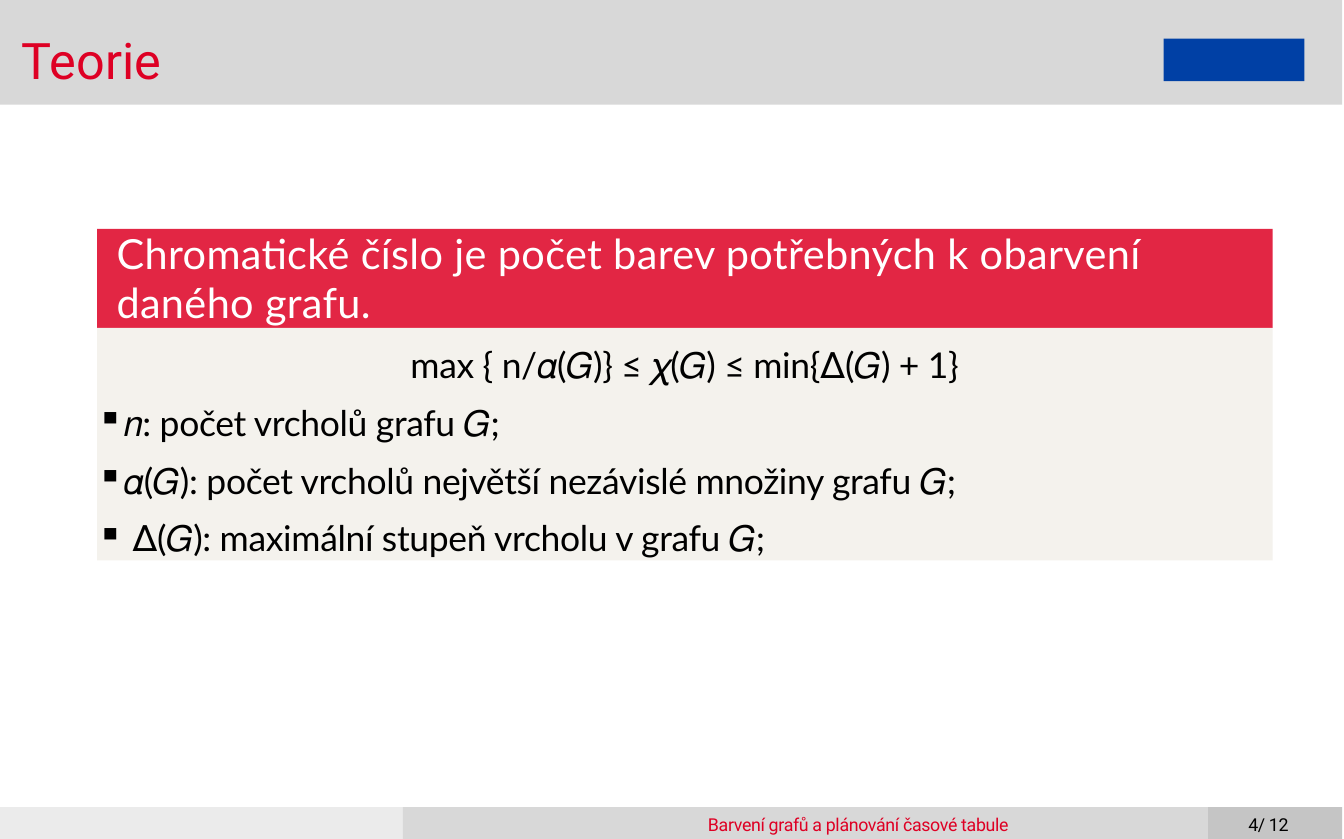
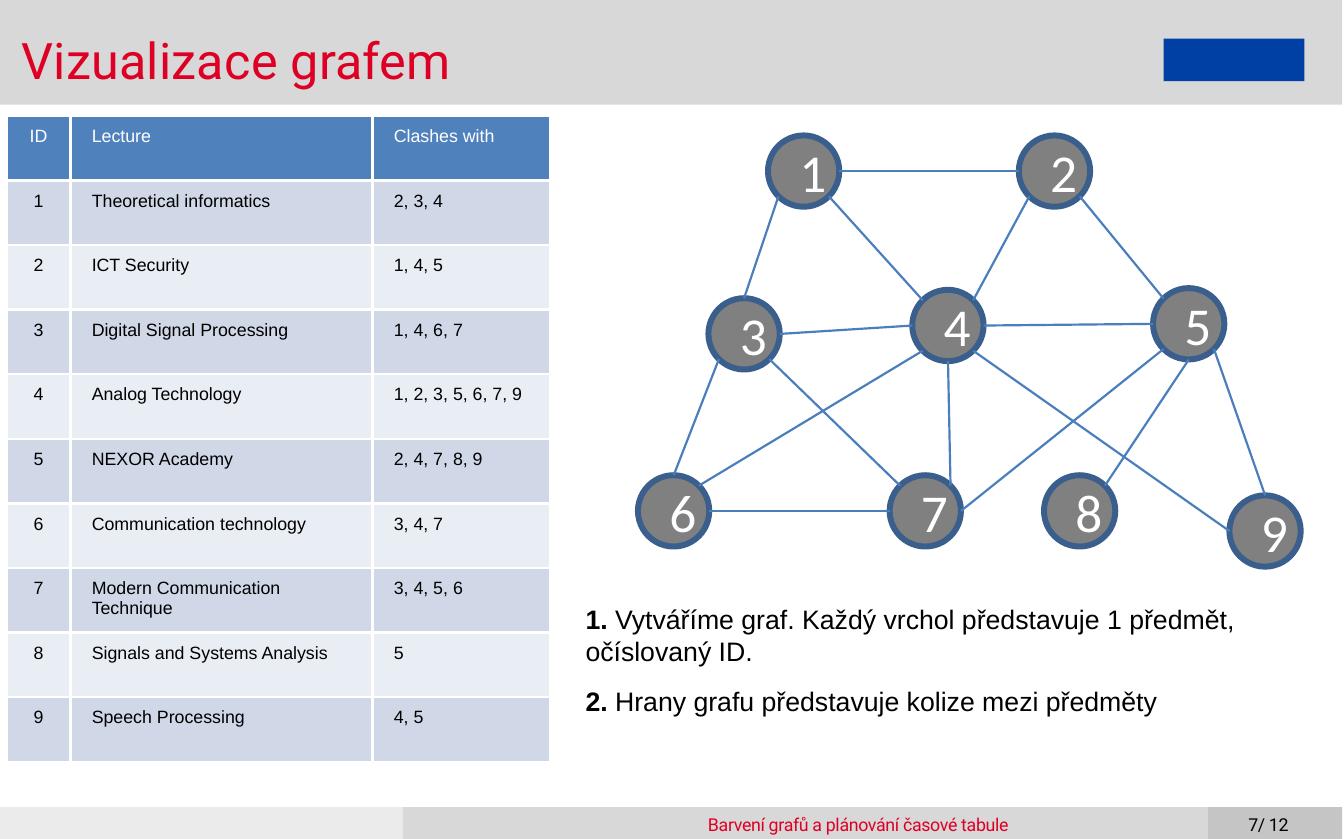
from collections import namedtuple
from math import cos, radians, sin

from lxml.etree import SubElement
from pptx import Presentation
from pptx.dml.color import RGBColor
from pptx.enum.shapes import MSO_CONNECTOR, MSO_SHAPE
from pptx.enum.text import MSO_ANCHOR, PP_ALIGN
from pptx.oxml import parse_xml
from pptx.oxml.ns import nsdecls, qn
from pptx.util import Cm, Pt

Box = namedtuple("Box", "left top width height")

COLOURS = {
    "red": "DE0024", "block_red": "E22644", "block_body": "F4F2ED",
    "logo": "0040A5", "band": "D8D8D8", "band_light": "EBEBEB",
    "band_dark": "C5C5C5", "black": "000000", "white": "FFFFFF",
    "node": "808080", "node_line": "3A5F8C", "edge": "4B7EBC",
    "table_head": "4F81BD", "row_odd": "D0D8E8", "row_even": "E9EDF4",
}

# font, size in points, colour, character spacing in hundredths of a point
STYLES = {
    "title": ("Roboto", 17, "red", 5),
    "footer": ("Roboto", 6, "red", -10),
    "page": ("Roboto", 6, "black", -10),
    "block_head": ("Lato", 14, "white", 10),
    "block_body": ("Lato", 12, "black", -10),
    "node": ("Calibri", 18, "white", 0),
    "table_head": ("Arial", 6, "white", 0),
    "table_body": ("Arial", 6, "black", 0),
    "note": ("Arial", 9, "black", 0),
}

HEADER = Box(0, 0, 16, 1.25)
FOOTER = Box(0, 9.62, 16, 0.38)
FOOTER_PARTS = [("band_light", 0.3), ("band", 0.6), ("band_dark", 0.1)]
FOOTER_TEXT = "Barvení grafů a plánování časové tabule"
PAGE_COUNT = 12

DEFINITION = "Chromatické číslo je počet barev potřebných k obarvení daného grafu."
FORMULA = "max { n/𝛼(𝐺)} ≤ 𝜒(𝐺) ≤ min{∆(𝐺) + 1}"
SYMBOLS = [
    "𝑛: počet vrcholů grafu 𝐺;",
    "𝛼(𝐺): počet vrcholů největší nezávislé množiny grafu 𝐺;",
    " ∆(𝐺): maximální stupeň vrcholu v grafu 𝐺;",
]

LECTURES = [
    ("ID", "Lecture", "Clashes with"),
    ("1", "Theoretical informatics", "2, 3, 4"),
    ("2", "ICT Security", "1, 4, 5"),
    ("3", "Digital Signal Processing", "1, 4, 6, 7"),
    ("4", "Analog Technology", "1, 2, 3, 5, 6, 7, 9"),
    ("5", "NEXOR Academy", "2, 4, 7, 8, 9"),
    ("6", "Communication technology", "3, 4, 7"),
    ("7", "Modern Communication Technique", "3, 4, 5, 6"),
    ("8", "Signals and Systems Analysis", "5"),
    ("9", "Speech Processing", "4, 5"),
]
COLUMN_WIDTHS = [0.76, 3.6, 2.12]

# Node centres, measured from the corner of the graph's box
NODES = {
    1: (1.98, 0.44), 2: (4.97, 0.44), 3: (1.27, 2.38),
    4: (3.7, 2.28), 5: (6.57, 2.26), 6: (0.43, 4.49),
    7: (3.43, 4.49), 8: (5.27, 4.49), 9: (7.48, 4.73),
}
NODE_DIAMETER = 0.85
# Sites of an ellipse run anticlockwise from the top in steps of 45 degrees
TOP, TOP_LEFT, LEFT, BOTTOM_LEFT, BOTTOM, BOTTOM_RIGHT, RIGHT, TOP_RIGHT = range(8)
EDGES = [
    (1, RIGHT, 2, LEFT), (1, BOTTOM_LEFT, 3, TOP),
    (3, RIGHT, 4, LEFT), (1, BOTTOM_RIGHT, 4, TOP_LEFT),
    (2, BOTTOM_LEFT, 4, TOP_RIGHT), (2, BOTTOM_RIGHT, 5, TOP_LEFT),
    (4, RIGHT, 5, LEFT), (8, TOP_RIGHT, 5, BOTTOM),
    (9, TOP, 5, BOTTOM_RIGHT), (6, TOP, 3, BOTTOM_LEFT),
    (6, RIGHT, 7, LEFT), (3, BOTTOM_RIGHT, 7, TOP_LEFT),
    (4, BOTTOM, 7, TOP_RIGHT), (4, BOTTOM_LEFT, 6, TOP_RIGHT),
    (5, BOTTOM_LEFT, 7, RIGHT), (4, BOTTOM_RIGHT, 9, LEFT),
]

NOTES = [
    ("1. ", "Vytváříme graf. Každý vrchol představuje 1 předmět, očíslovaný ID."),
    ("2. ", "Hrany grafu představuje kolize mezi předměty"),
]


def colour(name):
    return RGBColor.from_string(COLOURS[name])


def set_all(target, values):
    for name, value in values.items():
        setattr(target, name, value)


def add_run(paragraph, text, style, bold=False):
    font_name, size, colour_name, spacing = STYLES[style]
    run = paragraph.add_run()
    run.text = text
    set_all(run.font, {"name": font_name, "size": Pt(size), "bold": bold})
    run.font.color.rgb = colour(colour_name)
    if spacing:
        run._r.get_or_add_rPr().set("spc", str(spacing))


def set_indent(paragraph, left, first=0):
    properties = paragraph._p.get_or_add_pPr()
    properties.set("marL", str(Cm(left)))
    properties.set("indent", str(Cm(first)))
    return properties


def set_frame(shape, top_inset):
    """Wrap text from the top of the shape, with only a top inset."""
    set_all(shape.text_frame, {
        "word_wrap": True, "vertical_anchor": MSO_ANCHOR.TOP,
        "margin_left": 0, "margin_right": 0, "margin_bottom": 0,
        "margin_top": Cm(top_inset),
    })
    return shape.text_frame


def add_filled(slide, box, fill, preset=MSO_SHAPE.RECTANGLE):
    shape = slide.shapes.add_shape(preset, *map(Cm, box))
    shape.shadow.inherit = False
    shape.fill.solid()
    shape.fill.fore_color.rgb = colour(fill)
    shape.line.fill.background()
    return shape


def add_label(slide, box, text, style, top_inset, indent, space_before):
    shape = slide.shapes.add_textbox(*map(Cm, box))
    paragraph = set_frame(shape, top_inset).paragraphs[0]
    paragraph.space_before = Pt(space_before)
    set_indent(paragraph, indent)
    add_run(paragraph, text, style)


def add_header(slide, box, title):
    add_filled(slide, box, "band")
    title_box = Box(box.left + 0.23, box.top + 0.3, 12, 0.77)
    add_label(slide, title_box, title, "title", 0.05, 0.03, 1.2)
    add_filled(slide, Box(box.left + 13.87, box.top + 0.46, 1.68, 0.51), "logo")


def add_footer(slide, box, page):
    left = box.left
    for fill, share in FOOTER_PARTS:
        width = box.width * share
        add_filled(slide, Box(left, box.top, width, box.height), fill)
        left += width
    text_box = Box(box.left + 8.41, box.top, 4.1, 0.33)
    page_box = Box(box.left + 14.78, box.top, 0.9, 0.33)
    add_label(slide, text_box, FOOTER_TEXT, "footer", 0.08, 0.03, 1.9)
    add_label(slide, page_box, f"{page}/ {PAGE_COUNT}", "page", 0.08, 0.1, 1.9)


def add_theorem(slide, box):
    """Red definition above a pale block with the formula and its symbols."""
    head_height = 1.18
    head = add_filled(slide, box._replace(height=head_height), "block_red")
    paragraph = set_frame(head, 0).paragraphs[0]
    set_all(paragraph, {"alignment": PP_ALIGN.LEFT, "line_spacing": Pt(16.5)})
    set_indent(paragraph, 0.23)
    add_run(paragraph, DEFINITION, "block_head")

    body_box = box._replace(top=box.top + head_height, height=box.height - head_height)
    frame = set_frame(add_filled(slide, body_box, "block_body"), 0.18)
    paragraph = frame.paragraphs[0]
    set_all(paragraph, {"alignment": PP_ALIGN.CENTER, "space_before": Pt(5.1)})
    add_run(paragraph, FORMULA, "block_body")
    for text in SYMBOLS:
        paragraph = frame.add_paragraph()
        set_all(paragraph, {"alignment": PP_ALIGN.LEFT, "space_before": Pt(5.1)})
        properties = set_indent(paragraph, 0, -0.48)
        SubElement(properties, qn("a:buChar")).set("char", "▪")
        add_run(paragraph, text, "block_body")


def add_cell_borders(cell):
    properties = cell._tc.get_or_add_tcPr()
    for position, side in enumerate("LRTB"):
        properties.insert(position, parse_xml(
            f'<a:ln{side} {nsdecls("a")} w="{Pt(1)}"><a:solidFill>'
            f'<a:srgbClr val="{COLOURS["white"]}"/></a:solidFill></a:ln{side}>'))


def add_lecture_table(slide, box):
    frame = slide.shapes.add_table(len(LECTURES), len(COLUMN_WIDTHS), *map(Cm, box))
    table = frame.table
    for column, width in zip(table.columns, COLUMN_WIDTHS):
        column.width = Cm(width)
    for row, texts in enumerate(LECTURES):
        table.rows[row].height = Cm(box.height / len(LECTURES))
        fill = "row_odd" if row % 2 else "row_even"
        for column, text in enumerate(texts):
            cell = table.cell(row, column)
            cell.fill.solid()
            cell.fill.fore_color.rgb = colour(fill if row else "table_head")
            add_cell_borders(cell)
            paragraph = cell.text_frame.paragraphs[0]
            paragraph.alignment = PP_ALIGN.LEFT if column else PP_ALIGN.CENTER
            add_run(paragraph, text, "table_body" if row else "table_head")


def add_node(slide, x, y, number):
    radius = NODE_DIAMETER / 2
    box = Box(x - radius, y - radius, NODE_DIAMETER, NODE_DIAMETER)
    node = add_filled(slide, box, "node", MSO_SHAPE.OVAL)
    node.line.color.rgb = colour("node_line")
    node.line.width = Pt(2)
    paragraph = node.text_frame.paragraphs[0]
    paragraph.alignment = PP_ALIGN.CENTER
    add_run(paragraph, str(number), "node")
    return node


def site_point(node, site):
    angle, radius = radians(45 * site), node.width / 2
    return (round(node.left + radius * (1 - sin(angle))),
            round(node.top + radius * (1 - cos(angle))))


def add_edge(slide, start, start_site, end, end_site):
    """Join two nodes at any of the eight sites of an ellipse."""
    edge = slide.shapes.add_connector(
        MSO_CONNECTOR.STRAIGHT, *site_point(start, start_site), *site_point(end, end_site))
    edge.line.color.rgb = colour("edge")
    edge.line.width = Pt(0.75)
    SubElement(edge._element.spPr, qn("a:effectLst"))
    joints = edge._element.find(".//" + qn("p:cNvCxnSpPr"))
    for tag, node, site in (("a:stCxn", start, start_site), ("a:endCxn", end, end_site)):
        joint = SubElement(joints, qn(tag))
        joint.set("id", str(node.shape_id))
        joint.set("idx", str(site))


def add_graph(slide, box):
    nodes = {number: add_node(slide, box.left + x, box.top + y, number)
             for number, (x, y) in NODES.items()}
    for start, start_site, end, end_site in EDGES:
        add_edge(slide, nodes[start], start_site, nodes[end], end_site)


def add_notes_text(slide, box):
    frame = slide.shapes.add_textbox(*map(Cm, box)).text_frame
    frame.word_wrap = True
    for index, (number, text) in enumerate(NOTES):
        paragraph = frame.add_paragraph() if index else frame.paragraphs[0]
        paragraph.space_after = Pt(6)
        add_run(paragraph, number, "note", bold=True)
        add_run(paragraph, text, "note")


def add_framed_slide(presentation, title, page):
    slide = presentation.slides.add_slide(presentation.slide_layouts[6])
    add_header(slide, HEADER, title)
    add_footer(slide, FOOTER, page)
    return slide


def add_theory_slide(presentation):
    slide = add_framed_slide(presentation, "Teorie", 4)
    add_theorem(slide, Box(1.16, 2.73, 14.01, 3.95))


def add_graph_slide(presentation):
    slide = add_framed_slide(presentation, "Vizualizace grafem", 7)
    add_graph(slide, Box(7.6, 1.6, 7.9, 5.2))
    add_lecture_table(slide, Box(0.08, 1.38, sum(COLUMN_WIDTHS), 7.7))
    add_notes_text(slide, Box(6.73, 7.06, 8.92, 1.6))


def main():
    presentation = Presentation()
    set_all(presentation, {"slide_width": Cm(16.02), "slide_height": Cm(10)})
    add_theory_slide(presentation)
    add_graph_slide(presentation)
    presentation.save("out.pptx")


if __name__ == "__main__":
    main()
